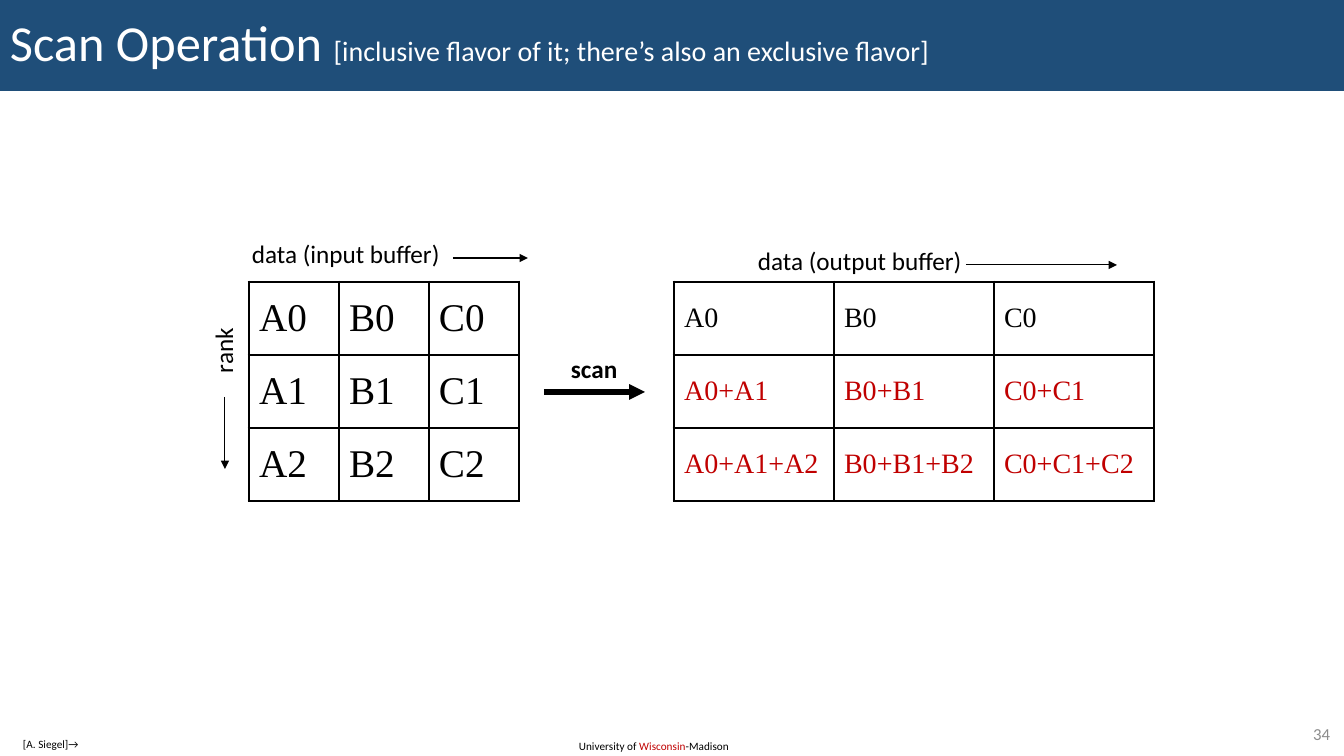
from lxml.etree import SubElement
from pptx import Presentation
from pptx.dml.color import RGBColor
from pptx.enum.shapes import MSO_CONNECTOR, MSO_SHAPE
from pptx.enum.text import MSO_ANCHOR, MSO_AUTO_SIZE, PP_ALIGN
from pptx.oxml.ns import qn
from pptx.util import Emu, Pt

COLORS = {"band": "1F4E79", "white": "FFFFFF", "black": "000000",
          "red": "C00000", "gray": "8C8C8C"}
THIN, THICK = 1, 2.25
ROW = 73


def px(n):
    return Emu(round(n * 914400 / 100.8))


def color(name):
    return RGBColor.from_string(COLORS[name])


def assign(target, values):
    for name, value in values.items():
        setattr(target, name, value)


def write(para, runs, face="Calibri", bold=False):
    """Add (text, size, color) runs to a paragraph."""
    for text, size, tint in runs:
        run = para.add_run()
        run.text = text
        assign(run.font, {"name": face, "size": Pt(size), "bold": bold})
        run.font.color.rgb = color(tint)


def add_title(slide, runs):
    band = slide.shapes.add_shape(MSO_SHAPE.RECTANGLE, 0, 0, px(1344), px(91))
    band.shadow.inherit = False
    band.fill.solid()
    band.fill.fore_color.rgb = color("band")
    band.line.fill.background()
    frame = band.text_frame
    assign(frame, {"word_wrap": True, "vertical_anchor": MSO_ANCHOR.MIDDLE})
    para = frame.paragraphs[0]
    assign(para, {"alignment": PP_ALIGN.LEFT, "line_spacing": 0.9})
    write(para, runs)


def add_label(slide, box, runs, wrap=False, bold=False, turn=0,
              align=PP_ALIGN.LEFT, anchor=MSO_ANCHOR.TOP,
              fit=MSO_AUTO_SIZE.SHAPE_TO_FIT_TEXT):
    label = slide.shapes.add_textbox(*map(px, box))
    label.rotation = turn
    assign(label.text_frame, {"word_wrap": wrap, "auto_size": fit,
                              "vertical_anchor": anchor})
    para = label.text_frame.paragraphs[0]
    para.alignment = align
    write(para, runs, bold=bold)


def add_arrow(slide, ends, width=0.75):
    arrow = slide.shapes.add_connector(MSO_CONNECTOR.STRAIGHT, *map(px, ends))
    arrow.line.width = Pt(width)
    arrow.line.color.rgb = color("black")
    SubElement(arrow.line._get_or_add_ln(), qn("a:tailEnd"), type="triangle")
    SubElement(arrow._element.spPr, qn("a:effectLst"))


def add_border(cell, side, width):
    line = SubElement(cell._tc.get_or_add_tcPr(), qn(f"a:ln{side}"),
                      w=str(Pt(width)))
    fill = SubElement(line, qn("a:solidFill"))
    SubElement(fill, qn("a:srgbClr"), val=COLORS["black"])


def add_grid(slide, left, top, col, rows, size, base, tints):
    """Draw a matrix with a thick frame; base is its bottom line width."""
    high, wide = len(rows), len(rows[0])
    table = slide.shapes.add_table(high, wide, px(left), px(top),
                                   px(col * wide), px(ROW * high)).table
    assign(table, {"first_row": False, "horz_banding": False})
    for column in table.columns:
        column.width = px(col)
    for r, row in enumerate(rows):
        table.rows[r].height = px(ROW)
        for c, text in enumerate(row):
            cell = table.cell(r, c)
            cell.vertical_anchor = MSO_ANCHOR.MIDDLE
            write(cell.text_frame.paragraphs[0], [(text, size, tints[r])],
                  face="Times New Roman")
            sides = {"L": THICK if c == 0 else THIN,
                     "R": THICK if c == wide - 1 else THIN,
                     "T": THICK if r == 0 else THIN,
                     "B": base if r == high - 1 else THIN}
            for side, width in sides.items():
                add_border(cell, side, width)
            cell.fill.background()


def main():
    deck = Presentation()
    assign(deck, {"slide_width": px(1344), "slide_height": px(756)})
    slide = deck.slides.add_slide(deck.slide_layouts[6])

    # Title band
    add_title(slide, [
        ("Scan Operation ", 36, "white"),
        ("[inclusive flavor of it; there’s also an exclusive flavor]",
         20, "white")])

    # Input and output buffers: each output row sums the ranks so far
    ranks = range(3)
    inputs = [[f"{name}{r}" for name in "ABC"] for r in ranks]
    sums = [["+".join(f"{name}{k}" for k in range(r + 1)) for name in "ABC"]
            for r in ranks]
    add_grid(slide, 674, 282, 160, sums, 20, THIN, ["black", "red", "red"])
    add_grid(slide, 249, 282, 90, inputs, 28, THICK, ["black"] * 3)

    # Labels
    add_label(slide, (242, 233, 211, 40),
              [("data (input buffer)", 18, "black")])
    add_label(slide, (748, 240, 227, 40),
              [("data (output buffer)", 18, "black")])
    add_label(slide, (190, 330, 66, 40), [("rank", 18, "black")], turn=270)
    add_label(slide, (561, 348, 68, 40), [("scan", 18, "black")], bold=True)

    # Arrows
    add_arrow(slide, (453, 258, 528, 258))
    add_arrow(slide, (966, 265, 1117, 265))
    add_arrow(slide, (225, 397, 225, 469))
    add_arrow(slide, (544, 392, 645, 392), 3.75)

    # Footer
    add_label(slide, (13, 732, 98, 24), [("[A. Siegel]→", 8, "black")],
              wrap=True)
    add_label(slide, (569, 734, 173, 24),
              [("University of ", 8, "black"), ("Wisconsin", 8, "red"),
               ("-Madison", 8, "black")], wrap=True)
    add_label(slide, (1263, 719, 77, 29), [("34", 12, "gray")], wrap=True,
              align=PP_ALIGN.RIGHT, anchor=MSO_ANCHOR.MIDDLE,
              fit=MSO_AUTO_SIZE.NONE)

    deck.save("out.pptx")


if __name__ == "__main__":
    main()
